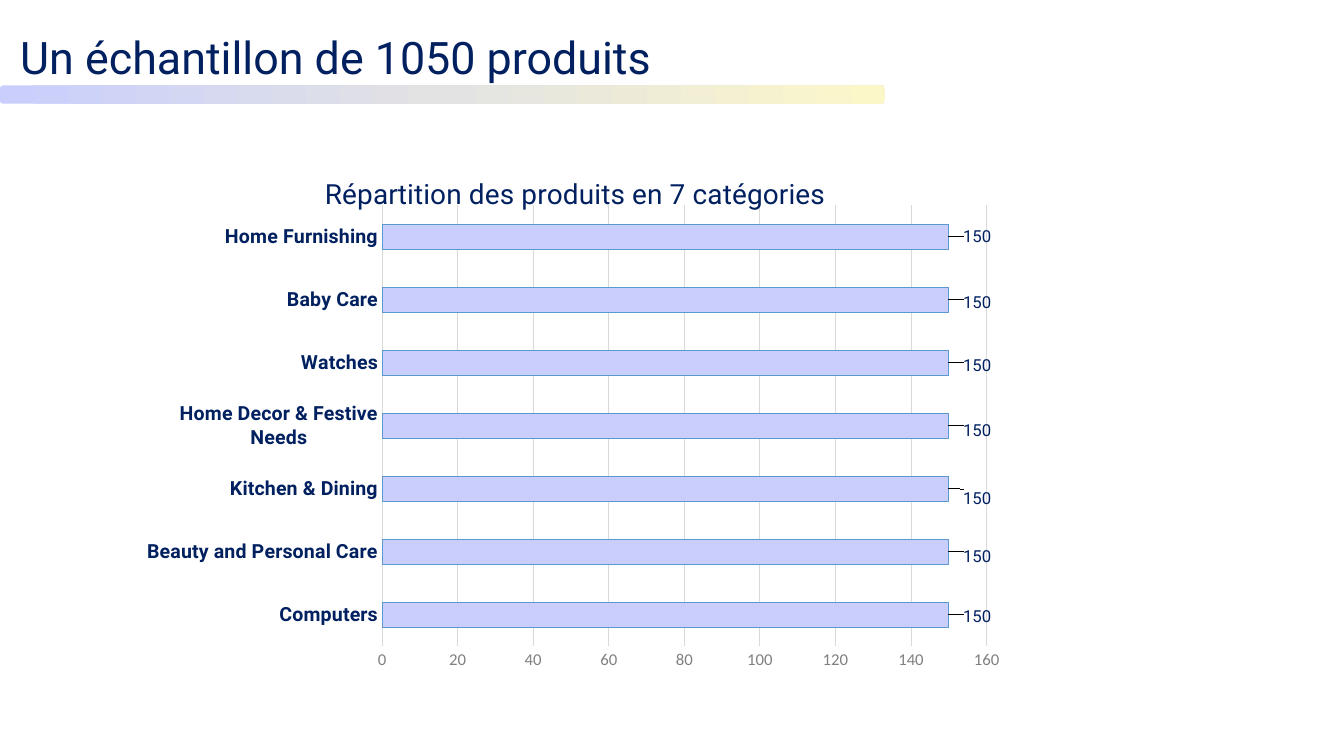
from copy import deepcopy

from lxml import etree
from pptx import Presentation
from pptx.chart.data import CategoryChartData
from pptx.dml.color import RGBColor
from pptx.enum import chart as ch, shapes, text
from pptx.oxml.ns import qn
from pptx.util import Pt

NAVY = RGBColor(0x00, 0x20, 0x60)
LILAC = RGBColor(0xC9, 0xCE, 0xFC)
SILVER = RGBColor(0xE3, 0xE3, 0xE3)
CREAM = RGBColor(0xFC, 0xF7, 0xC9)
BLUE = RGBColor(0x59, 0x98, 0xD0)
GRID = RGBColor(0xD9, 0xD9, 0xD9)
GRAY = RGBColor(0x80, 0x80, 0x80)

ROWS = [
    ("Computers", 150, 0.004),
    ("Beauty and Personal Care", 150, 0.01),
    ("Kitchen & Dining", 150, 0.02),
    ("Home Decor & Festive Needs", 150, 0.01),
    ("Watches", 150, 0.006),
    ("Baby Care", 150, 0.006),
    ("Home Furnishing", 150, 0),
]


def style(font, size, color=NAVY, name="Roboto", bold=False):
    """Set the look of a font."""
    font.size, font.name, font.bold = Pt(size), name, bold
    font.color.rgb = color


def place(node, pos, **vals):
    """Give a chart part a manual layout at child index pos."""
    for old in node.findall(qn("c:layout")):
        node.remove(old)
    lay = etree.Element(qn("c:layout"))
    man = etree.SubElement(lay, qn("c:manualLayout"))
    for key, val in vals.items():
        etree.SubElement(man, qn("c:" + key)).set("val", str(val))
    node.insert(pos, lay)


def add_title(slide, words):
    """Fill and move the slide title."""
    title = slide.shapes.title
    title.left, title.top, title.width, title.height = Pt(7.2), Pt(17.3), Pt(698), Pt(46)
    frame = title.text_frame
    frame.auto_size = text.MSO_AUTO_SIZE.NONE
    frame.vertical_anchor = text.MSO_ANCHOR.TOP
    para = frame.paragraphs[0]
    para.alignment = text.PP_ALIGN.LEFT
    run = para.add_run()
    run.text = words
    style(run.font, 32)


def add_band(slide):
    """Draw the gradient band under the title."""
    band = slide.shapes.add_shape(
        shapes.MSO_SHAPE.ROUNDED_RECTANGLE, 0, Pt(61), Pt(632), Pt(13))
    band.shadow.inherit = False
    band.line.fill.background()
    band.fill.gradient()
    band.fill.gradient_angle = 0
    first = band._element.spPr.find(".//" + qn("a:gs"))
    first.addnext(deepcopy(first))
    tones = zip(band.fill.gradient_stops, (LILAC, SILVER, CREAM), (0, 0.5, 1))
    for stop, color, pos in tones:
        stop.color.rgb, stop.position = color, pos


def set_axes(chart):
    """Format both axes and the grid."""
    cat, val = chart.category_axis, chart.value_axis
    for axis in (cat, val):
        axis.major_tick_mark = axis.minor_tick_mark = ch.XL_TICK_MARK.NONE
        axis.format.line.fill.background()
    style(cat.tick_labels.font, 14, bold=True)
    style(val.tick_labels.font, 12, GRAY, "Calibri")
    val.minimum_scale, val.maximum_scale, val.major_unit = 0, 160, 20
    val.has_major_gridlines = True
    line = val.major_gridlines.format.line
    line.color.rgb, line.width = GRID, Pt(0.75)


def set_bars(plot):
    """Format the bars and set their value labels."""
    plot.gap_width = 150
    plot.vary_by_categories = False
    bars = plot.series[0]
    bars.format.fill.solid()
    bars.format.fill.fore_color.rgb = LILAC
    bars.format.line.color.rgb = BLUE
    bars.format.line.width = Pt(0.75)
    for num, (_, _, drop) in enumerate(ROWS):
        label = bars.points[num].data_label
        style(label.font, 12)
        label.position = ch.XL_LABEL_POSITION.OUTSIDE_END
    nodes = bars._element.iter(qn("c:dLbl"))
    for node, (_, _, drop) in zip(nodes, ROWS):
        place(node, 1, x=0.012, y=drop)


def add_bars(slide, words):
    """Add the bar chart with its title."""
    data = CategoryChartData()
    data.categories = [row[0] for row in ROWS]
    data.add_series("Series 1", [row[1] for row in ROWS])
    chart = slide.shapes.add_chart(
        ch.XL_CHART_TYPE.BAR_CLUSTERED, Pt(105), Pt(106.5), Pt(612), Pt(372), data).chart
    chart.has_legend = False
    style(chart.font, 10, RGBColor(0, 0, 0), "Calibri")
    chart.has_title = True
    run = chart.chart_title.text_frame.paragraphs[0].add_run()
    run.text = words
    style(run.font, 20)
    set_axes(chart)
    set_bars(chart.plots[0])
    place(chart.chart_title._element, 1, xMode="edge", yMode="edge", x=0.2, y=0.04)
    area = chart._chartSpace.find(".//" + qn("c:plotArea"))
    place(area, 0, layoutTarget="inner", xMode="edge", yMode="edge",
          x=0.273, y=0.109, w=0.707, h=0.856)


def main():
    """Build the slide and save it."""
    deck = Presentation()
    deck.slide_width, deck.slide_height = Pt(960), Pt(540)
    slide = deck.slides.add_slide(deck.slide_layouts[5])
    add_title(slide, "Un échantillon de 1050 produits")
    add_band(slide)
    add_bars(slide, "Répartition des produits en 7 catégories")
    deck.save("out.pptx")


if __name__ == "__main__":
    main()
